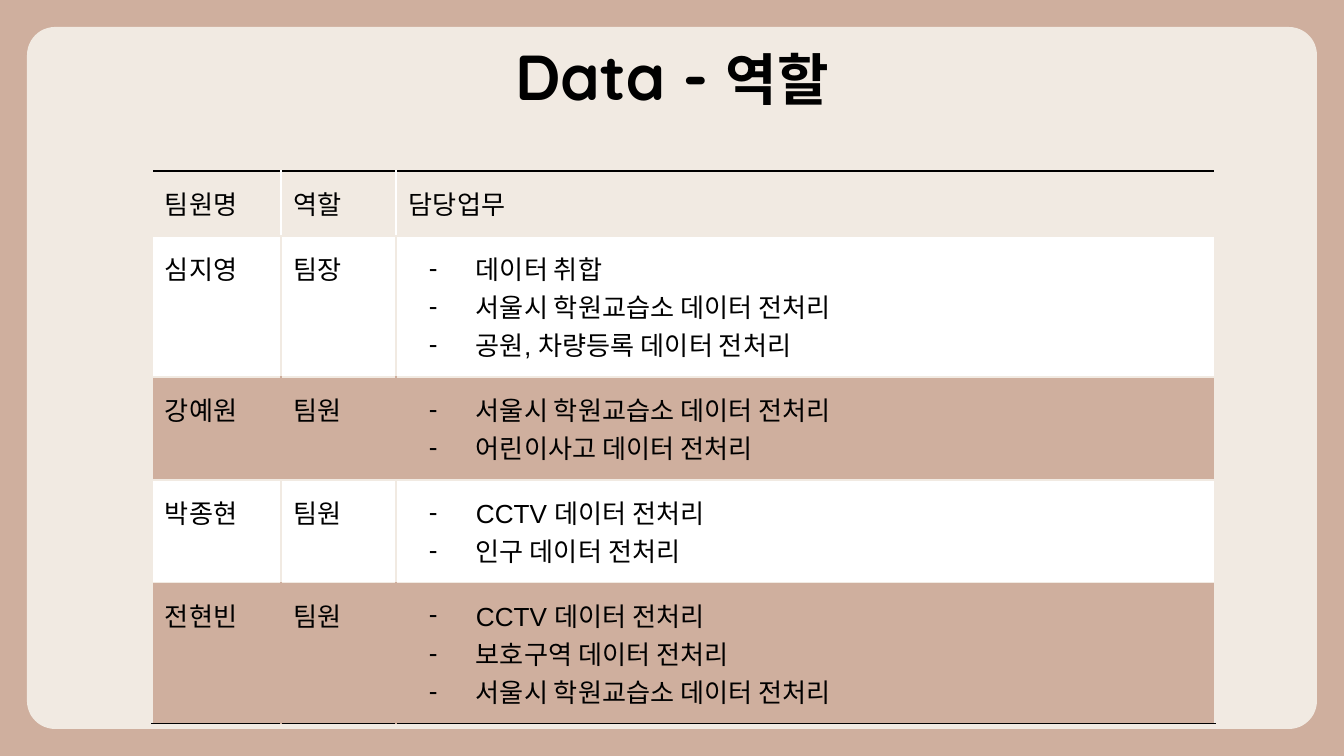
"""Build the slide that lists the data roles of each team member."""
import lxml.etree
import pptx
import pptx.dml.color
import pptx.enum.shapes
import pptx.enum.text
import pptx.oxml.ns
import pptx.util

SCALE = 914400 / 134.4
INSET = 13
LINE_HEIGHT = 38
CREAM = pptx.dml.color.RGBColor(0xF1, 0xEA, 0xE2)
TAN = pptx.dml.color.RGBColor(0xCF, 0xAF, 0x9E)
WHITE = pptx.dml.color.RGBColor(0xFF, 0xFF, 0xFF)
BLACK = pptx.dml.color.RGBColor(0x00, 0x00, 0x00)

HEADER = ("팀원명", "역할", "담당업무")
ACADEMY = "서울시 학원교습소 데이터 전처리"
CCTV = "CCTV 데이터 전처리"
MEMBERS = [
    ("심지영", "팀장", ["데이터 취합", ACADEMY, "공원, 차량등록 데이터 전처리"]),
    ("강예원", "팀원", [ACADEMY, "어린이사고 데이터 전처리"]),
    ("박종현", "팀원", [CCTV, "인구 데이터 전처리"]),
    ("전현빈", "팀원", [CCTV, "보호구역 데이터 전처리", ACADEMY]),
]


def px(n):
    return pptx.util.Emu(round(n * SCALE))


def sub(parent, tag, **attrs):
    return lxml.etree.SubElement(parent, pptx.oxml.ns.qn(tag), attrs)


def row_height(row):
    lines = max(len(c) if isinstance(c, list) else 1 for c in row)
    return 2 * INSET + 1 + LINE_HEIGHT * lines


class Deck:
    def __init__(self, width, height):
        self.prs = pptx.Presentation()
        self.prs.slide_width, self.prs.slide_height = px(width), px(height)
        self.s = None

    def slide(self, color):
        self.s = self.prs.slides.add_slide(self.prs.slide_layouts[6])
        self.s.background.fill.solid()
        self.s.background.fill.fore_color.rgb = color

    def panel(self, x, y, w, h, color, radius):
        kind = pptx.enum.shapes.MSO_SHAPE.ROUNDED_RECTANGLE
        sp = self.s.shapes.add_shape(kind, px(x), px(y), px(w), px(h))
        sp.adjustments[0] = radius
        sp.shadow.inherit = False
        sp.fill.solid()
        sp.fill.fore_color.rgb = color
        sp.line.fill.background()

    def run(self, p, text, size, font, bold=False):
        r = p.add_run()
        r.text = text
        r.font.size, r.font.name, r.font.bold = pptx.util.Pt(size), font, bold
        r.font.color.rgb = BLACK

    def title(self, x, y, w, h, runs):
        tf = self.s.shapes.add_textbox(px(x), px(y), px(w), px(h)).text_frame
        tf.word_wrap = True
        tf.margin_left = tf.margin_right = px(INSET)
        tf.margin_top = tf.margin_bottom = px(INSET)
        p = tf.paragraphs[0]
        p.alignment = pptx.enum.text.PP_ALIGN.CENTER
        for text, size in runs:
            self.run(p, text, size, "Quicksand", True)

    def table(self, x, y, widths, rows):
        n, last = len(rows), len(widths) - 1
        heights = [row_height(row) for row in rows]
        frame = self.s.shapes.add_table(
            n, len(widths), px(x), px(y), px(sum(widths)), px(sum(heights)))
        tbl = frame.table
        tbl.first_row = tbl.horz_banding = False
        for column, width in zip(tbl.columns, widths):
            column.width = px(width)
        for i, row in enumerate(rows):
            tbl.rows[i].height = px(heights[i])
            fill = CREAM if i == 0 else WHITE if i % 2 else TAN
            divider = WHITE if i == 0 else CREAM if i % 2 else TAN
            for j, content in enumerate(row):
                borders = {
                    "L": divider if j else CREAM,
                    "R": divider if j < last else CREAM,
                    "T": CREAM if i else BLACK,
                    "B": CREAM if i < n - 1 else BLACK,
                }
                self.cell(tbl.cell(i, j), content, fill, borders)

    def cell(self, cell, content, fill, borders):
        cell.margin_left = cell.margin_right = px(INSET)
        cell.margin_top = cell.margin_bottom = px(INSET)
        pr = cell._tc.get_or_add_tcPr()
        for side, color in borders.items():
            ln = sub(pr, f"a:ln{side}", w=str(pptx.util.Pt(0.75)))
            sub(sub(ln, "a:solidFill"), "a:srgbClr", val=str(color))
        cell.fill.solid()
        cell.fill.fore_color.rgb = fill
        bulleted = isinstance(content, list)
        for k, text in enumerate(content if bulleted else [content]):
            tf = cell.text_frame
            p = tf.add_paragraph() if k else tf.paragraphs[0]
            if bulleted:
                self.bullet(p)
            self.run(p, text, 14, "Arial")

    def bullet(self, p):
        pr = p._p.get_or_add_pPr()
        pr.set("marL", str(px(67)))
        pr.set("indent", str(px(-47)))
        sub(sub(pr, "a:buClr"), "a:srgbClr", val=str(BLACK))
        sub(pr, "a:buFont", typeface="Arial")
        sub(pr, "a:buChar", char="-")


def main():
    deck = Deck(1344, 756)
    deck.slide(TAN)
    deck.panel(27, 27, 1290, 702, CREAM, 0.04)
    deck.title(105, 24, 1134, 94, [("Data - ", 34), ("역할", 30)])
    deck.table(152, 171, [129, 115, 819], [HEADER, *MEMBERS])
    deck.prs.save("out.pptx")


if __name__ == "__main__":
    main()
